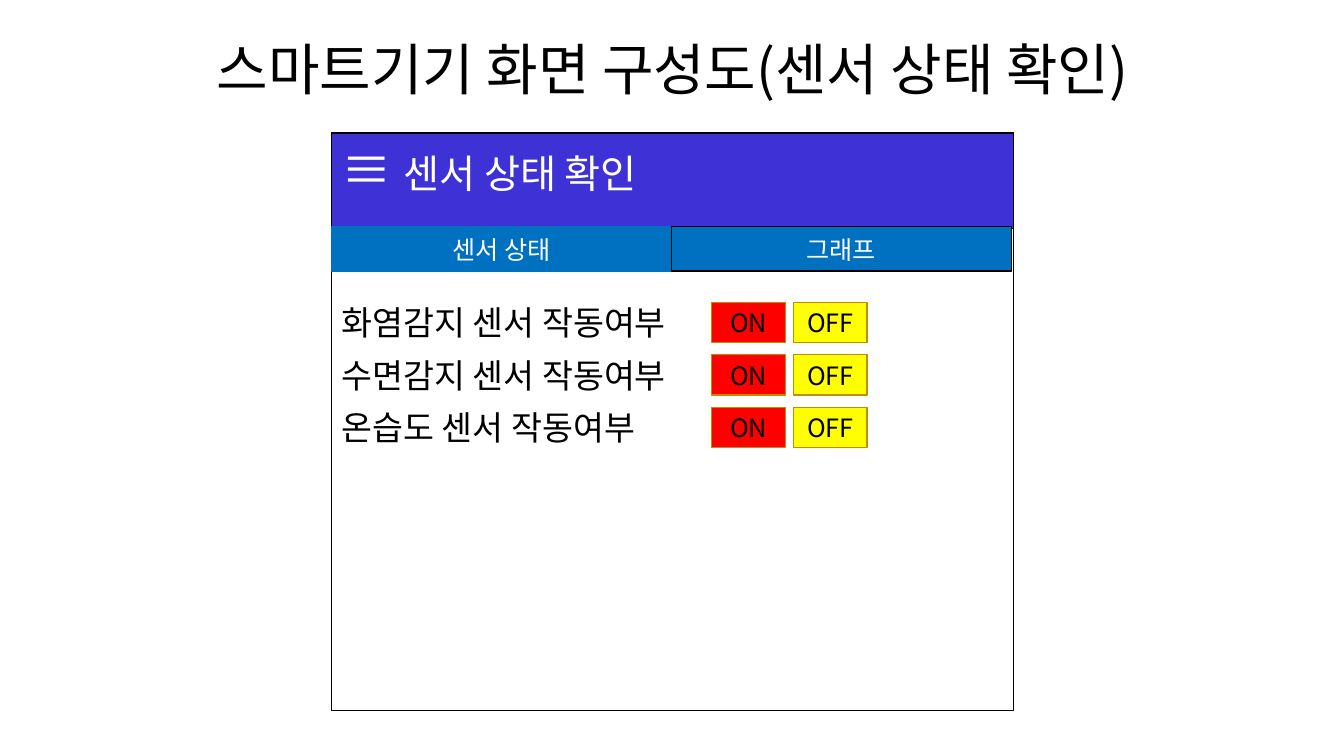
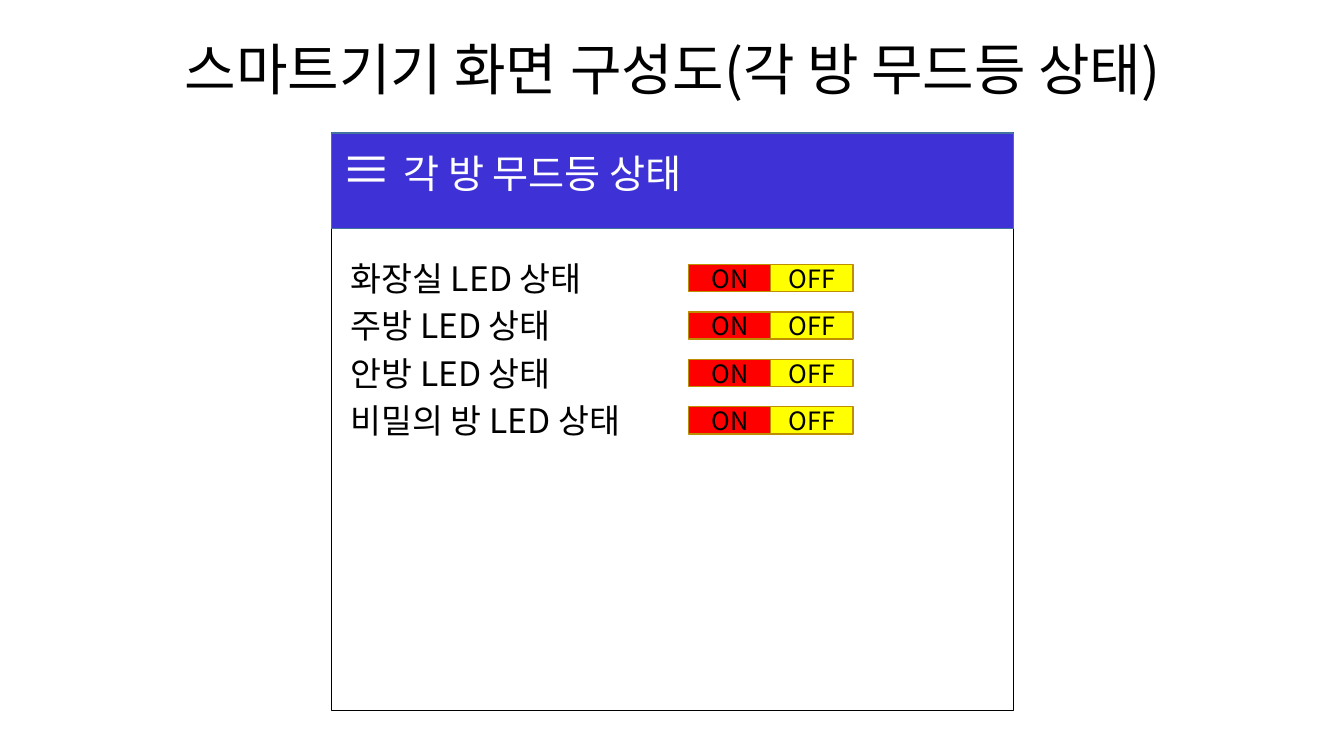
import pptx
import pptx.util
import pptx.dml.color
import pptx.enum.shapes
import pptx.enum.text
import pptx.oxml.ns
import lxml.etree
from collections import namedtuple

FONT = "Noto Sans CJK KR"
BLACK, WHITE = "000000", "FFFFFF"
HEADER, TAB = "3E32D6", "0070C0"
ON, OFF, SWITCH_EDGE = "FF0000", "FFFF00", "BD8E00"
HEADER_HEIGHT, TAB_HEIGHT = 0.95, 0.44
LABEL_HEIGHT = 0.5

Align = pptx.enum.text.PP_ALIGN
Anchor = pptx.enum.text.MSO_ANCHOR
Box = namedtuple("Box", "left top width height")
Switches = namedtuple("Switches", "left pitch width height")

SLIDE = Box(0, 0, 13.33, 7.5)
TITLE = Box(0.92, 0.28, 11.5, 0.79)
SCREEN = Box(3.29, 1.32, 6.76, 5.73)


def color(value):
    return pptx.dml.color.RGBColor.from_string(value)


def inches(box):
    return [pptx.util.Inches(length) for length in box]


def add_run(paragraph, text, size, ink):
    run = paragraph.add_run()
    run.text = text
    run.font.size = pptx.util.Pt(size)
    run.font.name = FONT
    run.font.color.rgb = color(ink)
    east_asian = lxml.etree.SubElement(run.font._element, pptx.oxml.ns.qn("a:ea"))
    east_asian.set("typeface", FONT)
    run.font._element.find(pptx.oxml.ns.qn("a:latin")).addnext(east_asian)


def write(frame, runs, align=Align.LEFT, anchor=Anchor.TOP):
    frame.word_wrap = True
    frame.auto_size = pptx.enum.text.MSO_AUTO_SIZE.NONE
    frame.vertical_anchor = anchor
    paragraph = frame.paragraphs[0]
    paragraph.alignment = align
    for text, size, ink in runs:
        add_run(paragraph, text, size, ink)
    return paragraph


def add_panel(slide, box, fill, edge, caption="", ink=BLACK):
    panel = slide.shapes.add_shape(
        pptx.enum.shapes.MSO_SHAPE.RECTANGLE, *inches(box))
    panel.shadow.inherit = False
    panel.fill.solid()
    panel.fill.fore_color.rgb = color(fill)
    panel.line.color.rgb = color(edge)
    panel.line.width = pptx.util.Pt(1)
    if caption:
        write(panel.text_frame, [(caption, 18, ink)], Align.CENTER, Anchor.MIDDLE)


def add_text(slide, box, runs):
    write(slide.shapes.add_textbox(*inches(box)).text_frame, runs)


def add_title(slide, topic):
    title = slide.shapes.title
    title.left, title.top, title.width, title.height = inches(TITLE)
    text = f"스마트기기 화면 구성도({topic})"
    paragraph = write(title.text_frame, [(text, 40, BLACK)], Align.CENTER, Anchor.BOTTOM)
    paragraph.line_spacing = 0.9


def add_screen(slide, box, heading, header_edge):
    add_panel(slide, box, WHITE, BLACK)
    header = box._replace(height=HEADER_HEIGHT)
    add_panel(slide, header, HEADER, header_edge)
    add_text(slide, header, [("≡ ", 36, WHITE), (heading, 28, WHITE)])


def add_tabs(slide, box, tabs):
    width = box.width / len(tabs)
    for column, (caption, edge) in enumerate(tabs):
        tab = Box(box.left + column * width, box.top, width, box.height)
        add_panel(slide, tab, TAB, edge, caption, WHITE)


def add_switch_rows(slide, box, labels, step, switches):
    for row, label in enumerate(labels):
        top = box.top + row * step
        add_text(slide, Box(box.left, top, box.width, LABEL_HEIGHT), [(label, 24, BLACK)])
        switch_top = top + (LABEL_HEIGHT - switches.height) / 2
        for column, (caption, fill) in enumerate([("ON", ON), ("OFF", OFF)]):
            left = box.left + switches.left + column * switches.pitch
            switch = Box(left, switch_top, switches.width, switches.height)
            add_panel(slide, switch, fill, SWITCH_EDGE, caption)


def add_screen_slide(deck, screen, topic, header_edge):
    slide = deck.slides.add_slide(deck.slide_layouts[5])
    add_title(slide, topic)
    add_screen(slide, screen, topic, header_edge)
    return slide


def build_sensor_slide(deck, screen):
    slide = add_screen_slide(deck, screen, "센서 상태 확인", BLACK)
    tab_bar = Box(screen.left, screen.top + 0.93, screen.width - 0.02, TAB_HEIGHT)
    add_tabs(slide, tab_bar, [("센서 상태", TAB), ("그래프", BLACK)])
    sensors = ["화염감지 센서 작동여부", "수면감지 센서 작동여부", "온습도 센서 작동여부"]
    rows = Box(screen.left, screen.top + 1.63, 3.77, 1.54)
    add_switch_rows(slide, rows, sensors, 0.52, Switches(3.77, 0.81, 0.73, 0.4))


def build_light_slide(deck, screen):
    slide = add_screen_slide(deck, screen, "각 방 무드등 상태", "43739E")
    rooms = ["화장실", "주방", "안방", "비밀의 방"]
    lights = [f"{room} LED 상태" for room in rooms]
    rows = Box(screen.left + 0.09, screen.top + 1.19, 3.68, 1.92)
    add_switch_rows(slide, rows, lights, 0.47, Switches(3.45, 0.81, 0.82, 0.27))


def main():
    deck = pptx.Presentation()
    deck.slide_width = pptx.util.Inches(SLIDE.width)
    deck.slide_height = pptx.util.Inches(SLIDE.height)
    build_sensor_slide(deck, SCREEN)
    build_light_slide(deck, SCREEN)
    deck.save("out.pptx")


if __name__ == "__main__":
    main()
